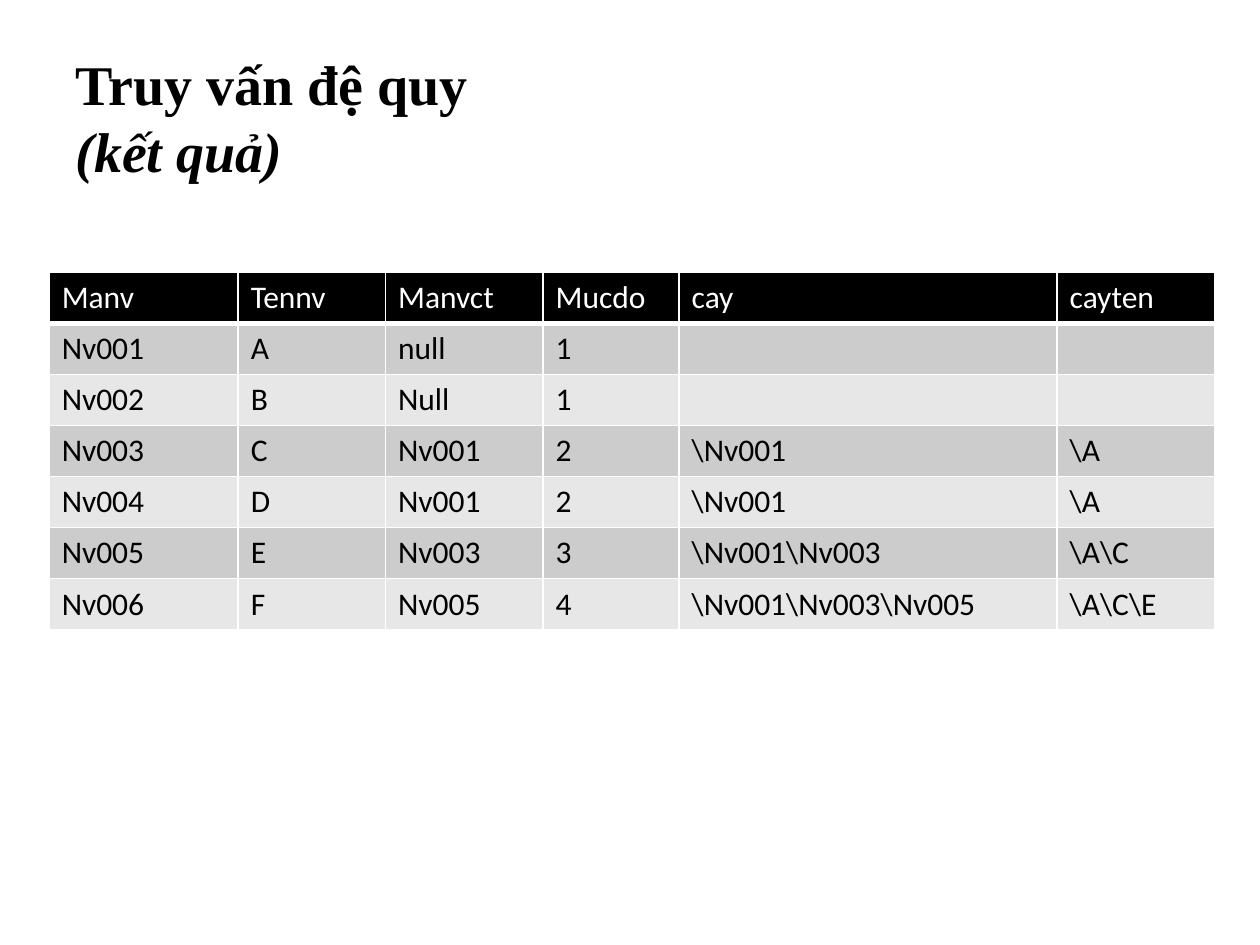
"""Build the recursive query result slide with its title and table."""
import pptx
import pptx.dml.color
import pptx.enum.text
import pptx.oxml
import pptx.oxml.ns
import pptx.util
from pptx.util import Inches

TITLE = "Truy vấn đệ quy"
SUBTITLE = "(kết quả)"
ROWS = [
    ("Manv", "Tennv", "Manvct", "Mucdo", "cay", "cayten"),
    ("Nv001", "A", "null", "1", "", ""),
    ("Nv002", "B", "Null", "1", "", ""),
    ("Nv003", "C", "Nv001", "2", r"\Nv001", r"\A"),
    ("Nv004", "D", "Nv001", "2", r"\Nv001", r"\A"),
    ("Nv005", "E", "Nv003", "3", r"\Nv001\Nv003", r"\A\C"),
    ("Nv006", "F", "Nv005", "4", r"\Nv001\Nv003\Nv005", r"\A\C\E"),
]
COLUMN_WIDTHS = [1.5, 1.17, 1.25, 1.08, 3, 1.25]
TABLE_HEIGHT = 2.84
BLACK, WHITE = "000000", "FFFFFF"
BANDS = ["E7E7E7", "CCCCCC"]


def color(value):
    return pptx.dml.color.RGBColor.from_string(value)


def add_text(paragraph, text, size=18, font="Calibri", fill=BLACK, bold=False, italic=False):
    run = paragraph.add_run()
    run.text = text
    run.font.size = pptx.util.Pt(size)
    run.font.name = font
    run.font.color.rgb = color(fill)
    run.font.bold = bold
    run.font.italic = italic


def add_borders(cell, bottom_width):
    properties = cell._tc.get_or_add_tcPr()
    namespace = pptx.oxml.ns.nsdecls("a")
    for side, width in (("L", 1), ("R", 1), ("T", 1), ("B", bottom_width)):
        properties.append(pptx.oxml.parse_xml(
            f'<a:ln{side} {namespace} w="{pptx.util.Pt(width)}"><a:solidFill>'
            f'<a:srgbClr val="{WHITE}"/></a:solidFill></a:ln{side}>'))


def add_title(slide):
    shape = slide.shapes.add_textbox(Inches(0.5), Inches(0.3), Inches(9), Inches(1.25))
    frame = shape.text_frame
    frame.word_wrap = True
    frame.vertical_anchor = pptx.enum.text.MSO_ANCHOR.MIDDLE
    paragraph = frame.paragraphs[0]
    style = {"size": 32, "font": "Times New Roman", "bold": True}
    add_text(paragraph, TITLE, **style)
    paragraph.add_line_break()
    add_text(paragraph, SUBTITLE, italic=True, **style)


def add_result_table(slide):
    table = slide.shapes.add_table(
        len(ROWS), len(COLUMN_WIDTHS), Inches(0.39), Inches(2.16),
        Inches(sum(COLUMN_WIDTHS)), Inches(TABLE_HEIGHT)).table
    for column, width in zip(table.columns, COLUMN_WIDTHS):
        column.width = Inches(width)
    for row_index, values in enumerate(ROWS):
        header = row_index == 0
        table.rows[row_index].height = Inches(TABLE_HEIGHT / len(ROWS))
        for column_index, value in enumerate(values):
            cell = table.cell(row_index, column_index)
            add_borders(cell, 3 if header else 1)
            cell.fill.solid()
            cell.fill.fore_color.rgb = color(BLACK if header else BANDS[row_index % 2])
            if value:
                add_text(cell.text_frame.paragraphs[0], value, fill=WHITE if header else BLACK)


def main():
    presentation = pptx.Presentation()
    presentation.slide_width = Inches(10)
    presentation.slide_height = Inches(7.5)
    slide = presentation.slides.add_slide(presentation.slide_layouts[6])
    add_title(slide)
    add_result_table(slide)
    presentation.save("out.pptx")


if __name__ == "__main__":
    main()
